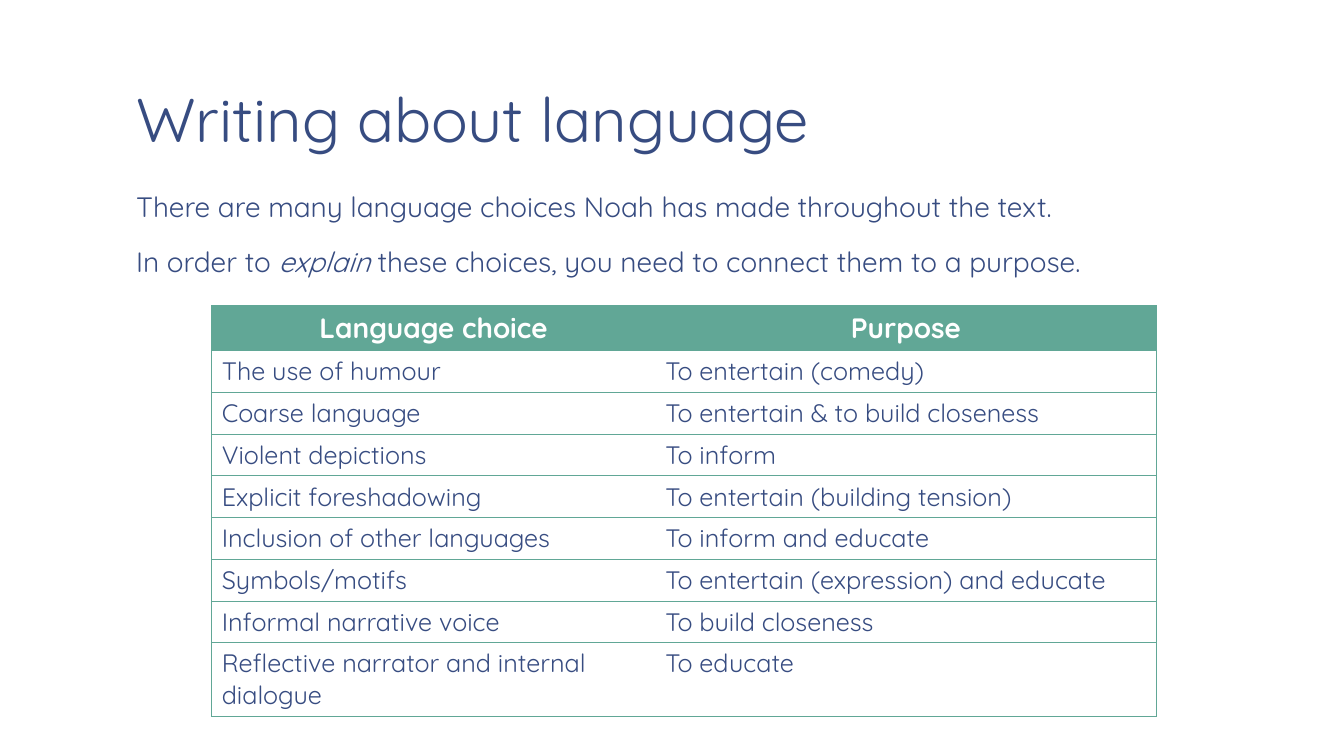
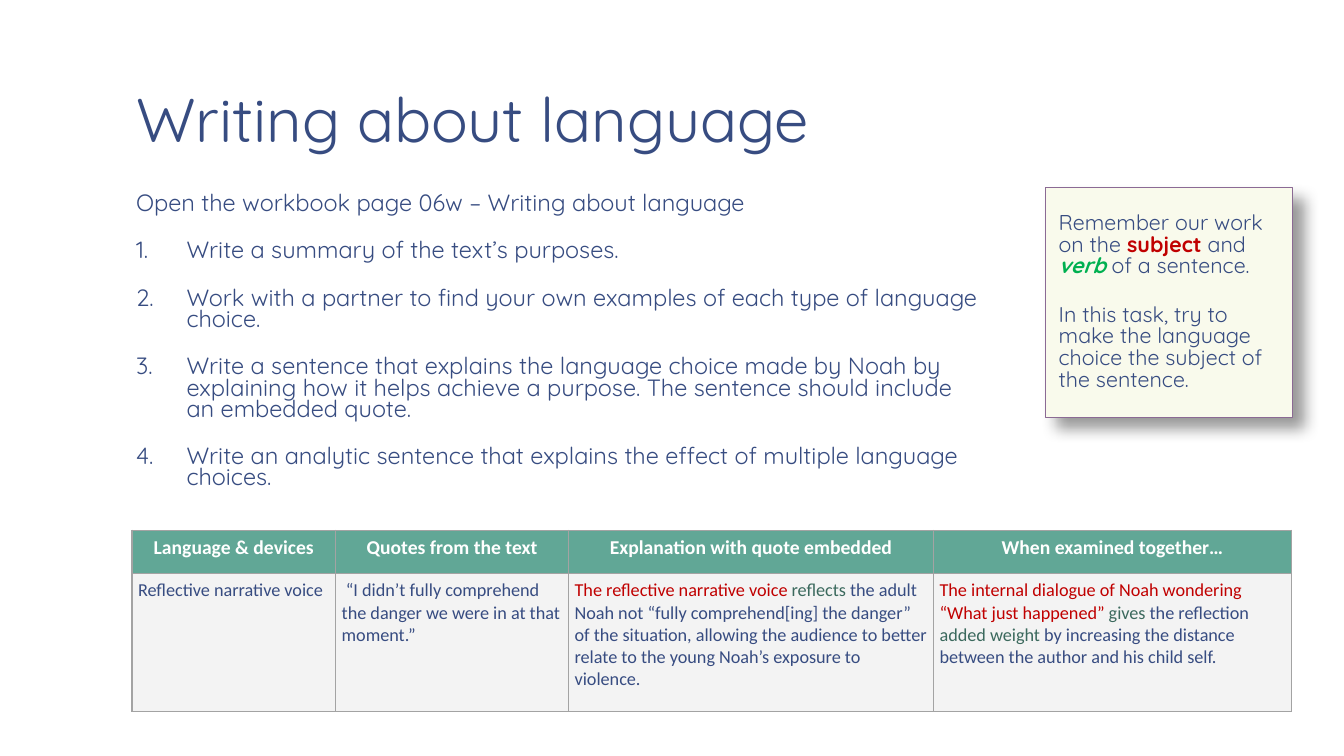
from dataclasses import dataclass
from typing import NamedTuple

from lxml.etree import SubElement
from pptx import Presentation
from pptx.dml.color import RGBColor
from pptx.enum.shapes import MSO_SHAPE
from pptx.enum.text import MSO_ANCHOR as Anchor, MSO_AUTO_SIZE as Fit, PP_ALIGN as Align
from pptx.oxml.ns import qn
from pptx.util import Inches, Pt


@dataclass(frozen=True)
class Theme:
    font: str = "Quicksand"
    plain: str = "Calibri"
    ink: str = "374C81"
    green: str = "61A796"
    white: str = "FFFFFF"
    pale: str = "F3F3F3"
    grey: str = "A3A3A3"
    red: str = "C00000"
    verb: str = "00B050"
    pine: str = "3B695D"
    cream: str = "F9FAEC"
    plum: str = "8B6A94"
    title: float = 44
    lead: float = 20
    task: float = 16.8
    note: float = 15.3
    cell: float = 18
    head: float = 14
    small: float = 13
    gap: float = 18.7


T = Theme()


class Box(NamedTuple):
    left: float
    top: float
    width: float
    height: float


class Run(NamedTuple):
    text: str
    color: str = ""
    bold: bool = False
    italic: bool = False


class Style(NamedTuple):
    size: float
    color: str = T.ink
    font: str = T.font
    bold: bool = False
    align: Align = Align.LEFT
    line: float = 1.0
    before: float = 0
    after: float = 0


class Para(NamedTuple):
    runs: tuple[Run, ...]
    number: bool = False


class Grid(NamedTuple):
    left: float
    top: float
    cols: tuple[float, ...]
    rows: tuple[float, ...]
    head: Style
    body: Style
    fill: str
    edge: str
    weight: float
    inner: bool
    inset: tuple[float, float]


def say(*parts: str | Run, number: bool = False) -> Para:
    """Make a paragraph from plain strings and marked runs."""
    runs = tuple(Run(part) if isinstance(part, str) else part for part in parts)
    return Para(runs, number)


def rgb(color: str) -> RGBColor:
    return RGBColor.from_string(color)


def place(shape, box: Box) -> None:
    shape.left, shape.top, shape.width, shape.height = map(Inches, box)


def write(frame, paras: list[Para], style: Style) -> None:
    for i, para in enumerate(paras):
        p = frame.paragraphs[0] if i == 0 else frame.add_paragraph()
        p.alignment, p.line_spacing = style.align, style.line
        p.space_before = Pt(style.before if i else 0)
        p.space_after = Pt(style.after)
        props = p._p.get_or_add_pPr()
        indent = Inches(0.5) if para.number else 0
        props.set("marL", str(indent))
        props.set("indent", str(-indent))
        if para.number:
            SubElement(props, qn("a:buAutoNum"), type="arabicPeriod")
        else:
            SubElement(props, qn("a:buNone"))
        font = p.font
        font.name, font.size, font.bold = style.font, Pt(style.size), style.bold
        font.color.rgb = rgb(style.color)
        for part in para.runs:
            run = p.add_run()
            run.text = part.text
            if part.color:
                run.font.color.rgb = rgb(part.color)
            if part.bold:
                run.font.bold = True
            if part.italic:
                run.font.italic = True


def fit(frame, anchor: Anchor) -> None:
    frame.word_wrap, frame.auto_size = True, Fit.NONE
    frame.vertical_anchor = anchor
    frame.margin_left = frame.margin_right = Inches(0.13)
    frame.margin_top = frame.margin_bottom = Inches(0.07)


def start(deck, box: Box, paras: list[Para], style: Style):
    """Add a slide with the shared title and a body text."""
    slide = deck.slides.add_slide(deck.slide_layouts[1])
    title, body = slide.shapes.title, slide.placeholders[1]
    place(title, Box(1.22, 0.08, 11.11, 1.53))
    fit(title.text_frame, Anchor.BOTTOM)
    write(title.text_frame, [say("Writing about language")], Style(T.title, line=0.85))
    place(body, box)
    fit(body.text_frame, Anchor.TOP)
    write(body.text_frame, paras, style)
    return slide


def border(cell, side: str, color: str, weight: float) -> None:
    line = SubElement(cell._tc.get_or_add_tcPr(), qn(f"a:ln{side}"), w=str(Pt(weight)))
    if color:
        fill = SubElement(line, qn("a:solidFill"))
        SubElement(fill, qn("a:srgbClr"), val=color)
    else:
        SubElement(line, qn("a:noFill"))


def tabulate(slide, grid: Grid, rows: list[tuple[Para, ...]]) -> None:
    box = Box(grid.left, grid.top, sum(grid.cols), sum(grid.rows))
    table = slide.shapes.add_table(len(rows), len(grid.cols), *map(Inches, box)).table
    table.horz_banding = False
    for col, width in zip(table.columns, grid.cols):
        col.width = Inches(width)
    for row, height in zip(table.rows, grid.rows):
        row.height = Inches(height)
    last = len(grid.cols) - 1
    for r, row in enumerate(rows):
        for c, para in enumerate(row):
            cell = table.cell(r, c)
            cell.margin_left = cell.margin_right = Inches(grid.inset[0])
            cell.margin_top = cell.margin_bottom = Inches(grid.inset[1])
            shown = {"L": grid.inner or c == 0, "R": grid.inner or c == last, "T": True, "B": True}
            for side, on in shown.items():
                border(cell, side, grid.edge if on else "", grid.weight)
            cell.fill.solid()
            cell.fill.fore_color.rgb = rgb(grid.fill if r else T.green)
            write(cell.text_frame, [para], grid.body if r else grid.head)


def remind(slide, box: Box, paras: list[Para]) -> None:
    """Add the shadowed note."""
    note = slide.shapes.add_shape(MSO_SHAPE.RECTANGLE, *map(Inches, box))
    note.fill.solid()
    note.fill.fore_color.rgb = rgb(T.cream)
    note.line.color.rgb = rgb(T.plum)
    note.line.width = Pt(0.75)
    note.shadow.inherit = False
    effects = note._element.spPr.find(qn("a:effectLst"))
    shade = SubElement(effects, qn("a:outerShdw"), blurRad=str(Pt(11)), dist=str(Pt(11)),
                       dir=str(45 * 60000), algn="tl", rotWithShape="0")
    tone = SubElement(shade, qn("a:srgbClr"), val="000000")
    SubElement(tone, qn("a:alpha"), val="40000")
    fit(note.text_frame, Anchor.MIDDLE)
    write(note.text_frame, paras, Style(T.note, line=0.85, before=T.gap))


def choices(deck) -> None:
    slide = start(deck, Box(1.22, 1.86, 11.11, 1.02), [
        say("There are many language choices Noah has made throughout the text."),
        say("In order to ", Run("explain", italic=True),
            " these choices, you need to connect them to a purpose."),
    ], Style(T.lead, line=0.85, before=T.gap))
    pairs = [
        ("Language choice", "Purpose"),
        ("The use of humour", "To entertain (comedy)"),
        ("Coarse language", "To entertain & to build closeness"),
        ("Violent depictions", "To inform"),
        ("Explicit foreshadowing", "To entertain (building tension)"),
        ("Inclusion of other languages", "To inform and educate"),
        ("Symbols/motifs", "To entertain (expression) and educate"),
        ("Informal narrative voice", "To build closeness"),
        ("Reflective narrator and internal dialogue", "To educate"),
    ]
    grid = Grid(2.1, 3.03, (4.4, 4.97), (0.41,) * len(pairs),
                Style(T.lead, T.white, bold=True, align=Align.CENTER), Style(T.cell),
                T.white, T.green, 0.5, False, (0.1, 0.05))
    tabulate(slide, grid, [tuple(map(say, pair)) for pair in pairs])


def tasks(deck) -> None:
    steps = [
        "Write a summary of the text’s purposes.",
        "Work with a partner to find your own examples of each type of language choice.",
        "Write a sentence that explains the language choice made by Noah by explaining how it "
        "helps achieve a purpose. The sentence should include an embedded quote.",
        "Write an analytic sentence that explains the effect of multiple language choices.",
    ]
    slide = start(deck, Box(1.22, 1.86, 8.67, 3.15), [
        say("Open the workbook page 06w – Writing about language"),
        *(say(step, number=True) for step in steps),
    ], Style(T.task, line=0.75, before=T.gap))
    remind(slide, Box(10.37, 1.86, 2.45, 2.28), [
        say("Remember our work on the ", Run("subject", T.red, True), " and ",
            Run("verb", T.verb, True, True), " of a sentence."),
        say("In this task, try to make the language choice the subject of the sentence."),
    ])
    heads = ("Language & devices", "Quotes from the text",
             "Explanation with quote embedded", "When examined together…")
    sample = (
        say("Reflective narrative voice"),
        say(" “I didn’t fully comprehend the danger we were in at that moment.”"),
        say(Run("The reflective narrative voice ", T.red), Run("reflects ", T.pine),
            "the adult Noah not “fully comprehend[ing] the danger” of the situation, allowing "
            "the audience to better relate to the young Noah’s exposure to violence."),
        say(Run("The internal dialogue of Noah wondering “What just happened” ", T.red),
            Run("gives", T.pine), " the reflection ", Run("added weight ", T.pine),
            "by increasing the distance between the author and his child self."),
    )
    grid = Grid(1.31, 5.26, (2.02, 2.31, 3.62, 3.55), (0.43, 1.37),
                Style(T.head, T.white, T.plain, True, Align.CENTER),
                Style(T.small, font=T.plain, after=6),
                T.pale, T.grey, 1, True, (0.06, 0.06))
    tabulate(slide, grid, [tuple(map(say, heads)), sample])


def main() -> None:
    deck = Presentation()
    deck.slide_width, deck.slide_height = Inches(13.33), Inches(7.5)
    choices(deck)
    tasks(deck)
    deck.save("out.pptx")


if __name__ == "__main__":
    main()
